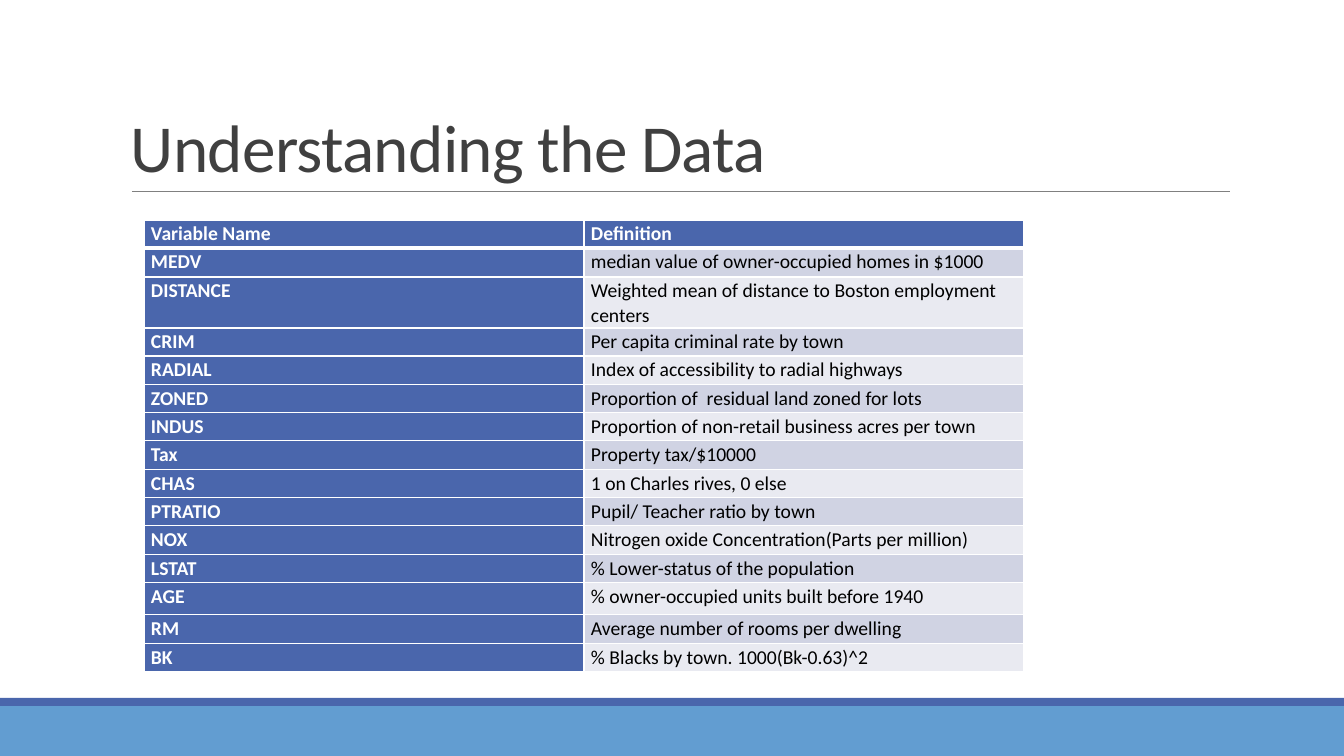
from dataclasses import dataclass

from lxml import etree
from pptx import Presentation
from pptx import util as u
from pptx.dml.color import RGBColor
from pptx.enum import shapes, text
from pptx.oxml import parse_xml
from pptx.oxml.ns import nsdecls, qn

EMU_PER_PX = 914400 / 100.8
FONT = "Calibri"
NAVY, SKY, WHITE, BLACK = "4A66AC", "629DD1", "FFFFFF", "000000"
BANDS = ("E9EAF1", "D0D3E3")


@dataclass
class Bar:
    top: int
    height: int
    color: str


@dataclass
class Variable:
    name: str
    definition: str
    height: int | None = None


FOOTER_BARS = [Bar(706, 50, SKY), Bar(698, 8, NAVY)]
ROWS = [
    Variable("Variable Name", "Definition"),
    Variable("MEDV", "median value of owner-occupied homes in $1000"),
    Variable("DISTANCE", "Weighted mean of distance to Boston employment centers", 51),
    Variable("CRIM", "Per capita criminal rate by town"),
    Variable("RADIAL", "Index of accessibility to radial highways"),
    Variable("ZONED", "Proportion of  residual land zoned for lots"),
    Variable("INDUS", "Proportion of non-retail business acres per town"),
    Variable("Tax", "Property tax/$10000"),
    Variable("CHAS", "1 on Charles rives, 0 else"),
    Variable("PTRATIO", "Pupil/ Teacher ratio by town"),
    Variable("NOX", "Nitrogen oxide Concentration(Parts per million)"),
    Variable("LSTAT", "% Lower-status of the population"),
    Variable("AGE", "% owner-occupied units built before 1940", 32),
    Variable("RM", "Average number of rooms per dwelling"),
    Variable("BK", "% Blacks by town. 1000(Bk-0.63)^2"),
]


def px(n: int) -> u.Emu:
    return u.Emu(round(n * EMU_PER_PX))


def rgb(color: str) -> RGBColor:
    return RGBColor.from_string(color)


def add_bar(s, bar: Bar) -> None:
    sp = s.shapes.add_shape(shapes.MSO_SHAPE.RECTANGLE, 0, px(bar.top), px(1344), px(bar.height))
    sp.shadow.inherit = False
    sp.fill.solid()
    sp.fill.fore_color.rgb = rgb(bar.color)
    sp.line.fill.background()


def add_rule(s) -> None:
    line = s.shapes.add_connector(shapes.MSO_CONNECTOR.STRAIGHT, px(132), px(191), px(1230), px(191))
    line.line.color.rgb = rgb("808080")
    line.line.width = u.Pt(0.5)
    etree.SubElement(line._element.spPr, qn("a:effectLst"))


def add_title(s) -> None:
    tf = s.shapes.add_textbox(px(121), px(31), px(1109), px(160)).text_frame
    tf.word_wrap = True
    tf.vertical_anchor = text.MSO_ANCHOR.BOTTOM
    p = tf.paragraphs[0]
    p.line_spacing = 0.85
    r = p.add_run()
    r.text = "Understanding the Data"
    r.font.name, r.font.size = FONT, u.Pt(48)
    r.font.color.rgb = rgb("404040")
    r._r.get_or_add_rPr().set("spc", "-50")


def set_borders(cell, row: int) -> None:
    """Draw white cell edges, with a thick one below the header row."""
    top, bottom = (3 if row == 1 else 1), (3 if row == 0 else 1)
    for side, points in (("L", 1), ("R", 1), ("T", top), ("B", bottom)):
        cell._tc.get_or_add_tcPr().append(parse_xml(
            f'<a:ln{side} {nsdecls("a")} w="{u.Pt(points)}"><a:solidFill>'
            f'<a:srgbClr val="{WHITE}"/></a:solidFill></a:ln{side}>'))


def fill_cell(cell, row: int, col: int, content: str) -> None:
    is_heading = row == 0 or col == 0
    cell.margin_left = cell.margin_right = px(7)
    cell.margin_top = cell.margin_bottom = 0
    set_borders(cell, row)
    cell.fill.solid()
    cell.fill.fore_color.rgb = rgb(NAVY if is_heading else BANDS[row % 2])
    p = cell.text_frame.paragraphs[0]
    p.text = content
    p.line_spacing = 1.07
    p.font.name, p.font.size, p.font.bold = FONT, u.Pt(14), is_heading
    p.font.color.rgb = rgb(WHITE if is_heading else BLACK)


def add_variable_table(s) -> None:
    # Single-line rows average 28⅓ px, so every third one is a pixel taller.
    heights = [v.height or (29 if i % 3 == 1 else 28) for i, v in enumerate(ROWS)]
    table = s.shapes.add_table(len(ROWS), 2, px(144), px(220), px(880), px(sum(heights))).table
    table.first_col = True
    for i, (variable, height) in enumerate(zip(ROWS, heights)):
        table.rows[i].height = px(height)
        for j, content in enumerate((variable.name, variable.definition)):
            fill_cell(table.cell(i, j), i, j, content)


def main() -> None:
    prs = Presentation()
    prs.slide_width, prs.slide_height = px(1344), px(756)
    s = prs.slides.add_slide(prs.slide_layouts[6])
    for bar in FOOTER_BARS:
        add_bar(s, bar)
    add_rule(s)
    add_title(s)
    add_variable_table(s)
    prs.save("out.pptx")


if __name__ == "__main__":
    main()
